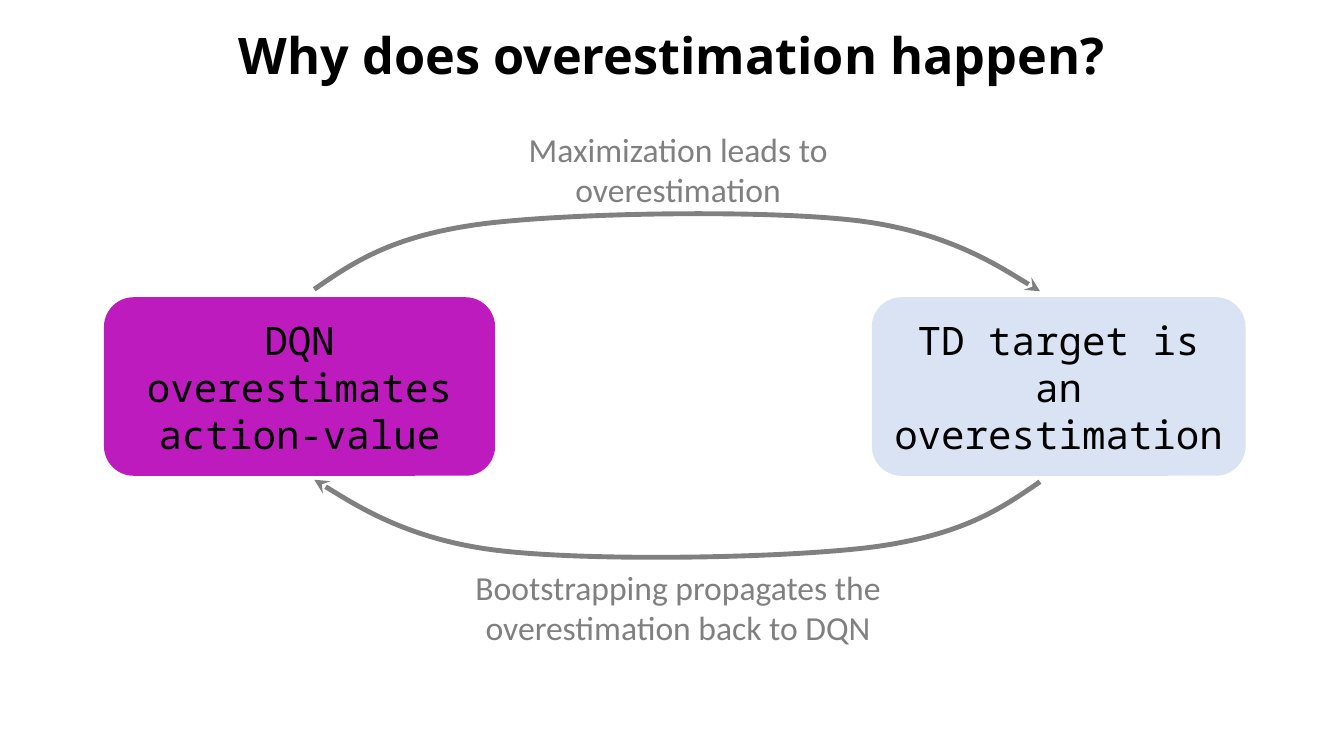
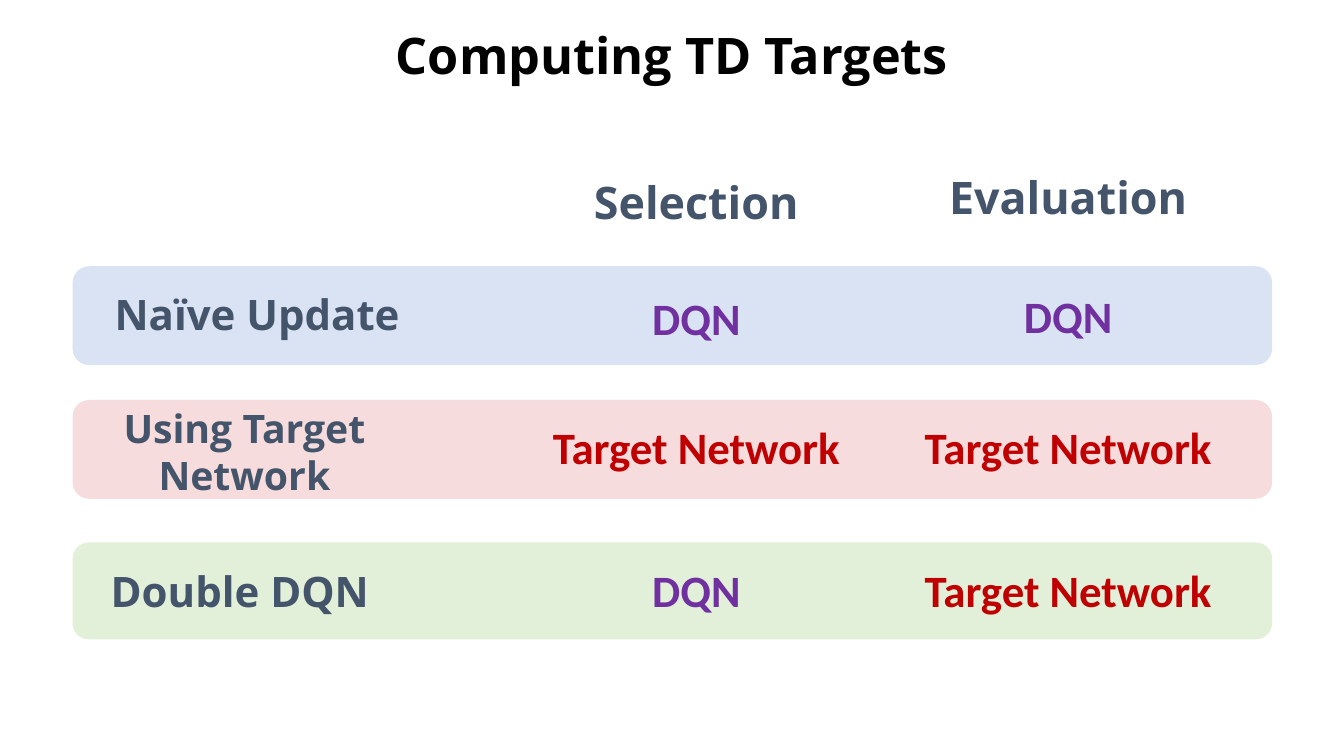
from lxml import etree
from pptx import Presentation
from pptx.dml.color import RGBColor
from pptx.enum.shapes import MSO_SHAPE
from pptx.enum.text import MSO_ANCHOR, PP_ALIGN
from pptx.oxml.ns import qn
from pptx.util import Cm, Pt

ROUNDED = MSO_SHAPE.ROUNDED_RECTANGLE
MIDDLE = MSO_ANCHOR.MIDDLE
LEFT, CENTER = PP_ALIGN.LEFT, PP_ALIGN.CENTER
HEADING_FONT, BODY_FONT, MONO_FONT = "Open Sans", "Calibri", "Noto Sans Mono"
BLACK, GREY, SLATE = "000000", "808080", "44546A"
PURPLE, RED, MAGENTA = "7030A0", "C00000", "BD1BBD"
PALE_BLUE, PALE_RED, PALE_GREEN = "DAE3F3", "F6DCDD", "E2F0D9"


def rgb(value):
    return RGBColor.from_string(value)


def write(box, lines, font, size, colour, bold=False, align=CENTER):
    frame = box.text_frame
    frame.word_wrap = True
    for index, line in enumerate(lines):
        para = frame.paragraphs[0] if index == 0 else frame.add_paragraph()
        para.alignment = align
        span = para.add_run()
        span.text = line
        span.font.name = font
        span.font.size = Pt(size)
        span.font.bold = bold
        span.font.color.rgb = rgb(colour)


deck = Presentation()
deck.slide_width, deck.slide_height = Cm(33.87), Cm(19.05)
layout = deck.slide_layouts[5]
heading = layout.placeholders[0]
heading.left, heading.top = Cm(0), Cm(0.03)
heading.width, heading.height = deck.slide_width, Cm(2.87)

pages = []
for title in ["Why does overestimation happen?", "Computing TD Targets"]:
    page = deck.slides.add_slide(layout)
    write(page.shapes.title, [title], HEADING_FONT, 36, BLACK, True)
    page.shapes.title.text_frame.vertical_anchor = MIDDLE
    page.shapes.title.text_frame.paragraphs[0].line_spacing = 0.9
    pages.append(page)
cycle_page, targets_page = pages

for left, width, fill, lines in [
    (21.97, 9.42, PALE_BLUE, ["TD target is", "an", "overestimation"]),
    (2.62, 9.86, MAGENTA, ["DQN", "overestimates action-value"]),
]:
    state = cycle_page.shapes.add_shape(ROUNDED, Cm(left), Cm(7.49), Cm(width), Cm(4.5))
    state.shadow.inherit = False
    state.fill.solid()
    state.fill.fore_color.rgb = rgb(fill)
    state.line.fill.background()
    state.text_frame.vertical_anchor = MIDDLE
    write(state, lines, MONO_FONT, 28, BLACK)

upper_arc = [
    (7.92, 7.29), (8.92, 6.6), (9.88, 5.94), (12.17, 5.64), (14.43, 5.36),
    (19.25, 5.28), (21.59, 5.56), (23.93, 5.84), (26.21, 7.34), (26.21, 7.34),
]
lower_arc = [(34.13 - x, 19.43 - y) for x, y in upper_arc]
for arc, caption_top, lines in [
    (upper_arc, 3.12, ["Maximization leads to", "overestimation"]),
    (lower_arc, 14.15, ["Bootstrapping propagates the", "overestimation back to DQN"]),
]:
    points = [(Cm(x), Cm(y)) for x, y in arc]
    builder = cycle_page.shapes.build_freeform(*points[0])
    builder.add_line_segments(points[1:], close=False)
    arrow = builder.convert_to_shape()
    arrow.shadow.inherit = False
    arrow.fill.background()
    arrow.line.color.rgb = rgb(GREY)
    arrow.line.width = Pt(3.5)
    segments = list(arrow.element.iter(qn("a:lnTo")))
    for start in range(0, len(segments), 3):
        curve = etree.Element(qn("a:cubicBezTo"))
        segments[start].addprevious(curve)
        for segment in segments[start:start + 3]:
            curve.append(segment[0])
            segment.getparent().remove(segment)
    etree.SubElement(arrow.line._get_or_add_ln(), qn("a:tailEnd"), type="stealth")
    caption = cycle_page.shapes.add_textbox(Cm(11.09), Cm(caption_top), Cm(12), Cm(2.31))
    write(caption, lines, BODY_FONT, 24, GREY)

column_lefts, column_width = [12.9, 22.27], 9.3
for left, top, name in zip(column_lefts, [4.27, 4.14], ["Selection", "Evaluation"]):
    header = targets_page.shapes.add_textbox(Cm(left), Cm(top), Cm(column_width), Cm(1.63))
    write(header, [name], HEADING_FONT, 32, SLATE, True)

network_colours = {"DQN": PURPLE, "Target Network": RED}
for top, height, fill, label, networks in [
    (6.71, 2.49, PALE_BLUE, (2.64, 7.14, 8, ["Naïve Update"], 30, LEFT),
     [("DQN", 7.19), ("DQN", 7.14)]),
    (10.08, 2.49, PALE_RED, (2.54, 10.06, 7.24, ["Using Target", "Network"], 28, CENTER),
     [("Target Network", 10.46), ("Target Network", 10.46)]),
    (13.67, 2.44, PALE_GREEN, (2.54, 14.12, 8, ["Double DQN"], 30, LEFT),
     [("DQN", 14.05), ("Target Network", 14.05)]),
]:
    band = targets_page.shapes.add_shape(ROUNDED, Cm(1.83), Cm(top), Cm(30.23), Cm(height))
    band.shadow.inherit = False
    band.fill.solid()
    band.fill.fore_color.rgb = rgb(fill)
    band.line.fill.background()
    label_left, label_top, label_width, lines, size, align = label
    method = targets_page.shapes.add_textbox(
        Cm(label_left), Cm(label_top), Cm(label_width), Cm(1.55 * len(lines)))
    write(method, lines, HEADING_FONT, size, SLATE, True, align)
    for left, (network, network_top) in zip(column_lefts, networks):
        cell = targets_page.shapes.add_textbox(
            Cm(left), Cm(network_top), Cm(column_width), Cm(1.63))
        write(cell, [network], BODY_FONT, 32, network_colours[network], True)

deck.save("out.pptx")
